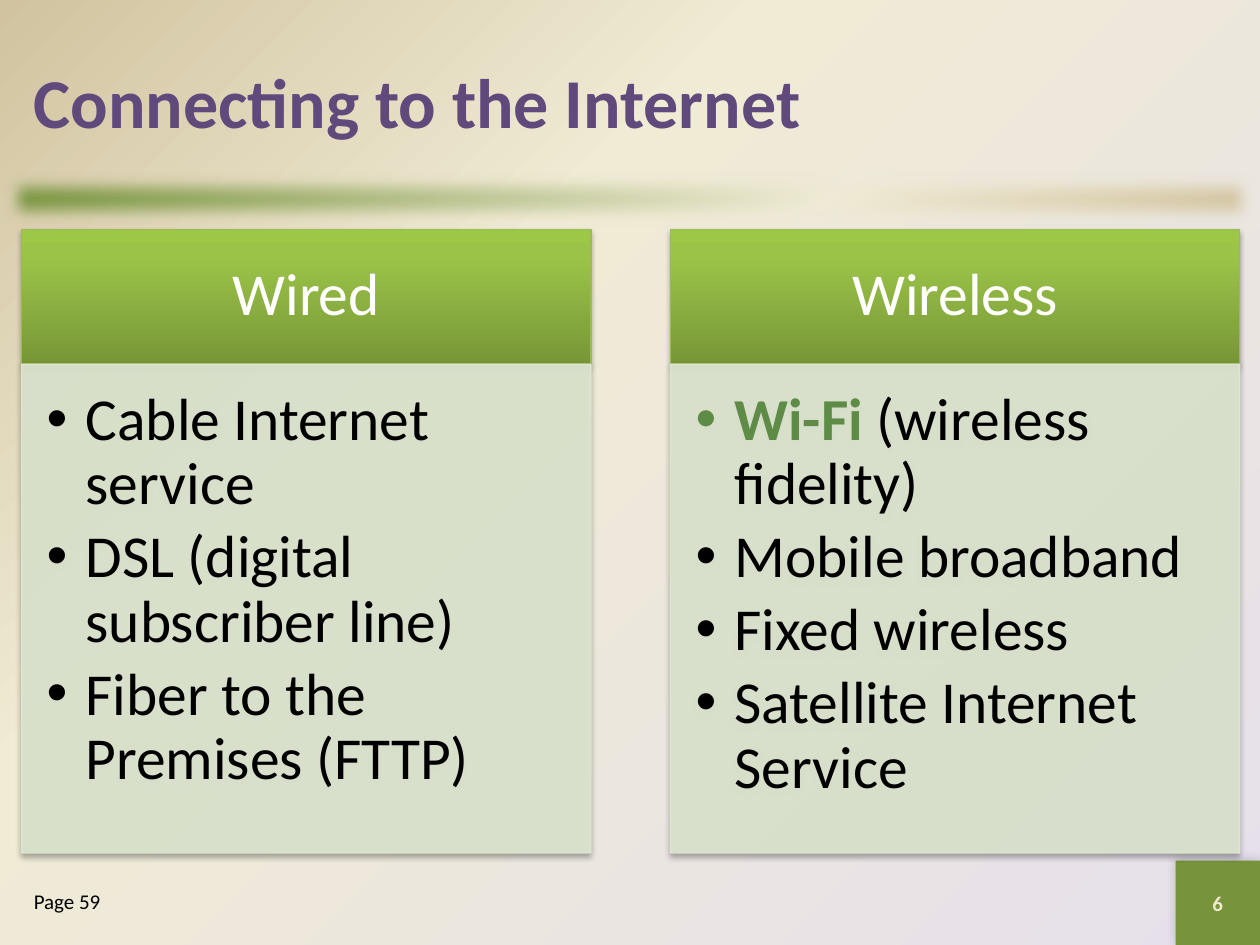
from lxml import etree
from pptx import Presentation
from pptx.dml.color import RGBColor
from pptx.enum.shapes import MSO_SHAPE
from pptx.enum.text import MSO_ANCHOR, PP_ALIGN
from pptx.oxml import parse_xml
from pptx.oxml.ns import nsdecls, qn
from pptx.util import Inches, Pt

FONT = "Calibri"
COLORS = {
    "purple": "604A7B", "green": "77933C", "cream": "F0EBD5", "tan": "D1C39F",
    "lilac": "E6E0EC", "header_dark": "779737", "header_mid": "9BC348",
    "header_light": "9DC746", "header_line": "9BBB59", "panel": "DEE7D1",
    "accent": "5E8B46", "number": "EEEBCA", "white": "FFFFFF", "black": "000000",
}
MARGIN, COLUMN_WIDTH, COLUMN_STEP = 0.17, 4.52, 5.15
HEADER_TOP, HEADER_HEIGHT, PANEL_HEIGHT = 1.82, 1.07, 3.88

# Each item is a list of (text, highlighted) spans
COLUMNS = [
    ("Wired", [
        [("Cable Internet service", False)],
        [("DSL (digital subscriber line)", False)],
        [("Fiber to the Premises (FTTP)", False)],
    ]),
    ("Wireless", [
        [("Wi-Fi", True), (" (wireless fidelity)", False)],
        [("Mobile broadband", False)],
        [("Fixed wireless", False)],
        [("Satellite Internet Service", False)],
    ]),
]


def rgb(name):
    return RGBColor.from_string(COLORS[name])


def set_gradient(properties, stops, direction):
    """Swap the solid fill of a shape or background for a gradient."""
    marks = "".join(
        f'<a:gs pos="{percent * 1000}"><a:srgbClr val="{COLORS[name]}"/></a:gs>'
        for percent, name in stops)
    gradient = parse_xml(
        f'<a:gradFill {nsdecls("a")} rotWithShape="1">'
        f'<a:gsLst>{marks}</a:gsLst>{direction}</a:gradFill>')
    properties.replace(properties.find(qn("a:solidFill")), gradient)


def linear(angle):
    return f'<a:lin ang="{angle * 60000}" scaled="0"/>'


def add_effect(shape, tag, **attributes):
    effects = shape._element.spPr.find(qn("a:effectLst"))
    return etree.SubElement(
        effects, qn(tag), {key: str(value) for key, value in attributes.items()})


def add_shadow(shape, opacity, blur, distance, angle):
    shadow = add_effect(shape, "a:outerShdw", blurRad=Pt(blur), dist=Pt(distance),
                        dir=angle * 60000, algn="ctr", rotWithShape=0)
    color = etree.SubElement(shadow, qn("a:srgbClr"), val=COLORS["black"])
    etree.SubElement(color, qn("a:alpha"), val=str(opacity * 1000))


def add_rectangle(page, left, top, width, height, fill, line=None):
    shape = page.shapes.add_shape(
        MSO_SHAPE.RECTANGLE, Inches(left), Inches(top), Inches(width), Inches(height))
    shape.shadow.inherit = False
    shape.fill.solid()
    shape.fill.fore_color.rgb = rgb(fill)
    if line:
        shape.line.color.rgb = rgb(line)
        shape.line.width = Pt(0.75)
    else:
        shape.line.fill.background()
    return shape


def set_frame(shape, anchor, insets=(0.1, 0.05, 0.1, 0.05)):
    frame = shape.text_frame
    frame.word_wrap = True
    frame.vertical_anchor = anchor
    (frame.margin_left, frame.margin_top,
     frame.margin_right, frame.margin_bottom) = map(Inches, insets)
    return frame


def style_font(font, size, color, bold=False):
    font.name = FONT
    font.size = Pt(size)
    font.bold = bold
    font.color.rgb = rgb(color)


def write_line(frame, text, size, color, bold=False, align=PP_ALIGN.LEFT):
    para = frame.paragraphs[0]
    para.text = text
    para.alignment = align
    style_font(para.font, size, color, bold)


def add_label(page, left, top, width, height, anchor, *text_style):
    box = page.shapes.add_textbox(
        Inches(left), Inches(top), Inches(width), Inches(height))
    write_line(set_frame(box, anchor), *text_style)


def write_bullet(para, spans):
    properties = para._p.get_or_add_pPr()
    properties.set("marL", str(Inches(0.31)))
    properties.set("indent", str(Inches(-0.31)))
    etree.SubElement(properties, qn("a:buFont"), typeface="Arial")
    etree.SubElement(properties, qn("a:buChar"), char="•")
    para.alignment = PP_ALIGN.LEFT
    para.line_spacing = 0.9
    para.space_after = Pt(5)
    for text, highlighted in spans:
        span = para.add_run()
        span.text = text
        if len(spans) > 1:
            style_font(span.font, 34, "accent" if highlighted else "black", highlighted)
    if len(spans) == 1:
        style_font(para.font, 34, "black")


def add_column(page, left, heading, items):
    # Heading
    header = add_rectangle(page, left, HEADER_TOP, COLUMN_WIDTH, HEADER_HEIGHT,
                           "header_mid", "header_line")
    set_gradient(header._element.spPr,
                 [(0, "header_dark"), (80, "header_mid"), (100, "header_light")],
                 linear(270))
    add_shadow(header, 35, 3.1, 1.8, 90)
    frame = set_frame(header, MSO_ANCHOR.MIDDLE, (0.26, 0.15, 0.26, 0.15))
    write_line(frame, heading, 34, "white", False, PP_ALIGN.CENTER)
    frame.paragraphs[0].line_spacing = 0.9

    # Translucent panel with bullets
    panel = add_rectangle(page, left, HEADER_TOP + HEADER_HEIGHT, COLUMN_WIDTH,
                          PANEL_HEIGHT, "panel", "panel")
    for color in panel._element.spPr.iter(qn("a:srgbClr")):
        etree.SubElement(color, qn("a:alpha"), val="90000")
    add_shadow(panel, 35, 3.1, 1.8, 90)
    frame = set_frame(panel, MSO_ANCHOR.TOP, (0.2, 0.2, 0.26, 0.3))
    for index, spans in enumerate(items):
        para = frame.add_paragraph() if index else frame.paragraphs[0]
        write_bullet(para, spans)


def set_background(page):
    page.background.fill.solid()
    properties = page._element.cSld.find(f'{qn("p:bg")}/{qn("p:bgPr")}')
    set_gradient(properties, [(0, "lilac"), (65, "cream"), (100, "tan")],
                 '<a:path path="circle"><a:fillToRect l="100000" t="100000"/></a:path>')


def add_divider(page):
    bar = add_rectangle(page, 0, 1.33, 10, 0.5, "green")
    set_gradient(bar._element.spPr, [(0, "green"), (65, "cream"), (100, "tan")],
                 linear(45))
    add_effect(bar, "a:softEdge", rad=Pt(10))


def add_page_number(page):
    square = add_rectangle(page, 9.33, 6.83, 0.67, 0.67, "green")
    add_shadow(square, 20, 6, 0, 225)
    write_line(set_frame(square, MSO_ANCHOR.MIDDLE), "6", 12, "number", True,
               PP_ALIGN.CENTER)


def main():
    deck = Presentation()
    deck.slide_width, deck.slide_height = Inches(10), Inches(7.5)
    page = deck.slides.add_slide(deck.slide_layouts[6])

    # Backdrop and title
    set_background(page)
    add_divider(page)
    add_page_number(page)
    add_label(page, MARGIN, 0.17, 9.67, 1.25, MSO_ANCHOR.MIDDLE,
              "Connecting to the Internet", 40, "purple", True)

    # Two columns
    for index, (heading, items) in enumerate(COLUMNS):
        add_column(page, MARGIN + index * COLUMN_STEP, heading, items)

    # Book page reference
    add_label(page, MARGIN, 7, 1.83, 0.5, MSO_ANCHOR.TOP, "Page 59", 12, "black")
    deck.save("out.pptx")


if __name__ == "__main__":
    main()
